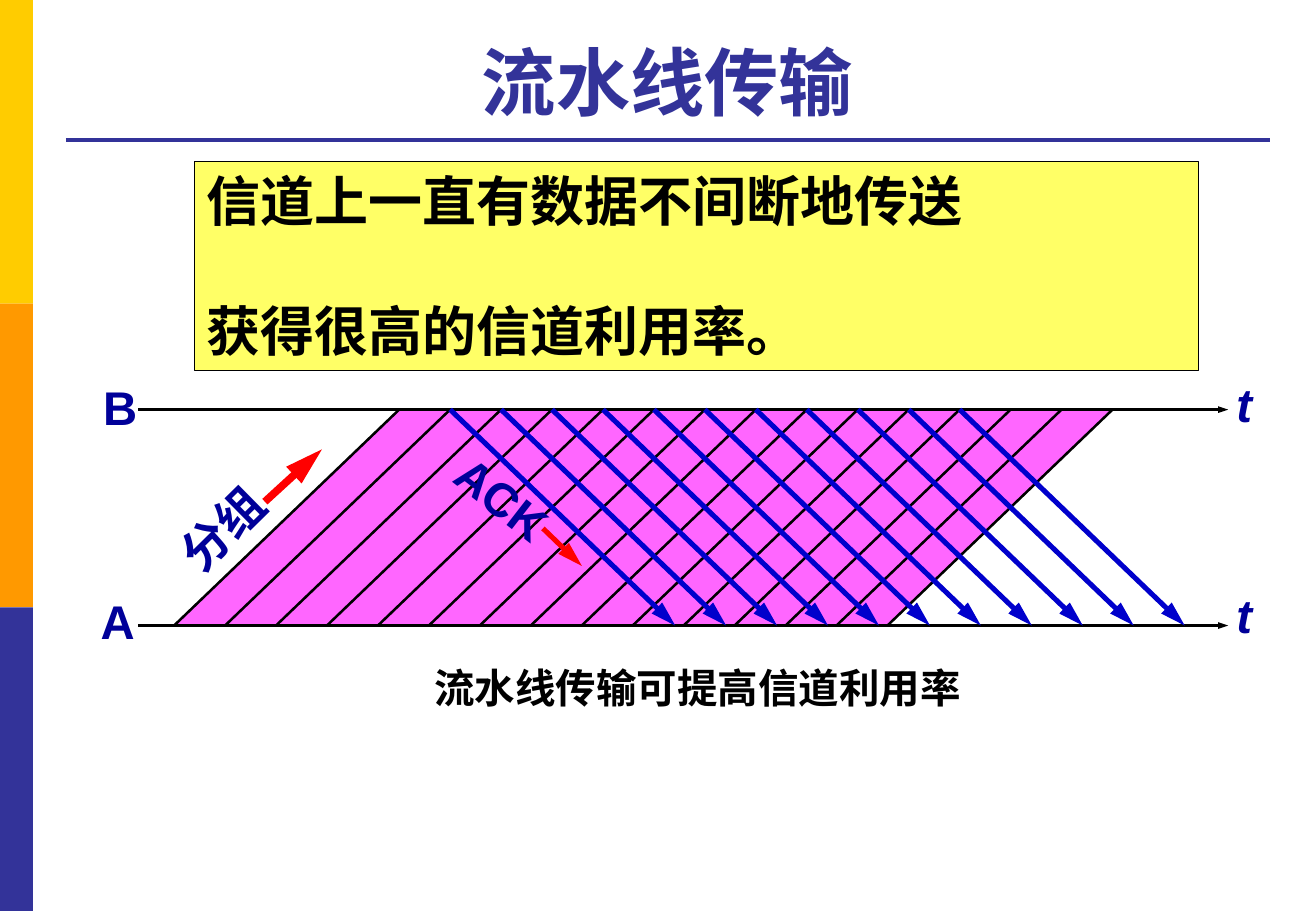
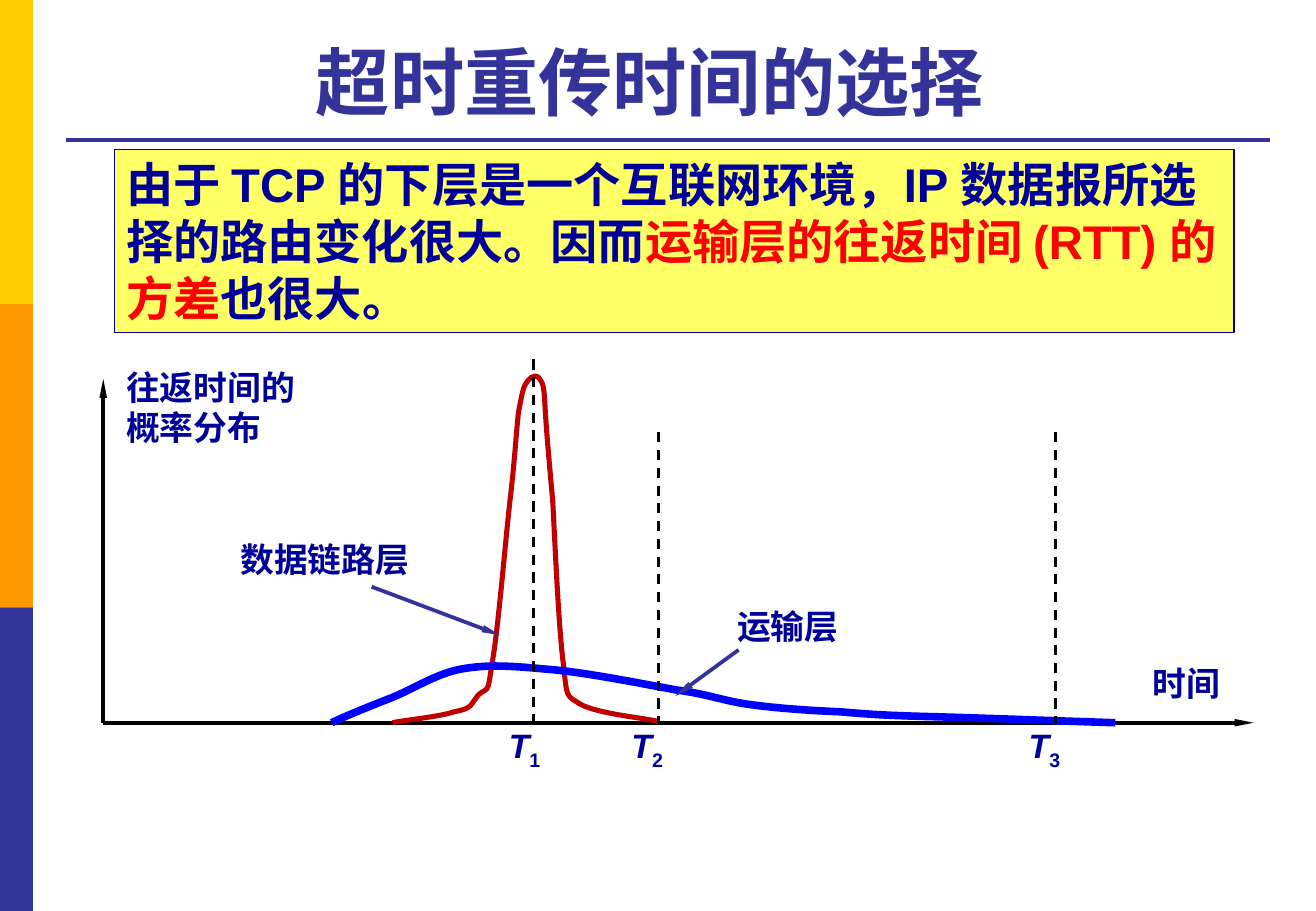
from dataclasses import dataclass

from lxml import etree
from pptx import Presentation
from pptx.dml.color import RGBColor
from pptx.enum import dml, shapes, text
from pptx.oxml.ns import qn
from pptx.util import Pt


@dataclass(frozen=True)
class Theme:
    font: str = "Arial"
    bands: tuple = ("FFCC00", "FF9900", "333399")
    accent: str = "333399"
    navy: str = "000099"
    black: str = "000000"
    red: str = "FF0000"
    note: str = "FFFF66"
    packet: str = "FF66FF"
    ack: str = "0000CC"
    link_curve: str = "C00000"
    transport_curve: str = "0000FF"
    title_size: int = 44
    lead_size: int = 32
    body_size: int = 28
    caption_size: int = 24
    label_size: int = 20


T = Theme()
W, H = 780, 540

# ---- Content: runs are (text, format overrides) ----
PIPELINE_TITLE = "流水线传输"
PIPELINE_NOTE = [[("信道上一直有数据不间断地传送", {})], [("获得很高的信道利用率。", {})]]
PIPELINE_CAPTION = "流水线传输可提高信道利用率"
# text, box, rotation, italic
PIPELINE_LABELS = [
    ("B", (54, 221, 35.3, 41), 0, False),
    ("A", (52.6, 347.8, 35.3, 41), 0, False),
    ("t", (725.8, 218.9, 23.8, 41), 0, True),
    ("t", (725.8, 344.2, 23.8, 41), 0, True),
    ("分组", (96.5, 292.3, 71.3, 41), 315.3, False),
    ("ACK", (260.6, 275, 75.6, 41), 37.8, False),
]
# start, end, width
DIRECTION_ARROWS = [((157, 297.4), (190.8, 266.4), 4.5), ((321.8, 313.2), (344.9, 335.5), 3)]

TIMEOUT_TITLE = "超时重传时间的选择"
TIMEOUT_NOTE = [[
    ("由于 TCP 的下层是一个互联网环境，IP 数据报所选择的路由变化很大。因而", {}),
    ("运输层的往返时间 (RTT) 的方差", {"color": T.red}),
    ("也很大。", {}),
]]
TIMEOUT_LABELS = [
    (["往返时间的", "概率分布"], (67.7, 213.8, 115.2, 55.4)),
    (["数据链路层"], (135.4, 316.1, 115.2, 31.7)),
    (["运输层"], (429.8, 355.7, 74.9, 31.7)),
    (["时间"], (676.1, 389.5, 54.7, 31.7)),
]
# subscript, x of the dashed line, its top, left of the label
TIME_MARKS = [("1", 316.1, 213.1, 294.5), ("2", 390.2, 256.3, 367.2), ("3", 625.7, 256.3, 602.6)]
CALLOUTS = [((220.3, 347.8), (296.6, 376.6)), ((437.8, 385.2), (400.3, 412.6))]
# Start point, then three points for each Bezier segment
LINK_CURVE = [
    (232.6, 428.4), (239, 427), (261.4, 424.8), (269.3, 421.9),
    (280.8, 419.8), (278.6, 417.6), (283.7, 411.8),
    (289.4, 406.8), (288.7, 413.3), (291.6, 393.8),
    (295.2, 374.4), (299.5, 321.1), (302.4, 295.9),
    (305.3, 271.4), (306, 255.6), (307.4, 244.1),
    (309.6, 232.6), (310.3, 228.2), (313.2, 225.4),
    (315.4, 222.5), (319, 221.8), (320.4, 225.4),
    (322.6, 228.2), (322.6, 233.3), (323.3, 244.8),
    (324, 256.3), (325.4, 272.2), (327.6, 296.6),
    (329, 321.8), (331.2, 374.4), (334.1, 394.6),
    (336.2, 414.7), (335.5, 411.8), (344.2, 417.6),
    (355.7, 423.4), (381.6, 425.5), (390.2, 427.7),
]
TRANSPORT_CURVE = [
    (196.6, 428.4), (202.3, 425.5), (218.2, 419), (231.1, 414),
    (244.1, 409), (257.8, 399.6), (272.9, 396.7),
    (288, 393.8), (302.4, 394.6), (324, 396.7),
    (345.6, 398.2), (380.9, 405.4), (401, 409),
    (421.2, 411.8), (428.4, 415.4), (444.2, 417.6),
    (460.1, 419.8), (479.5, 421.2), (497.5, 421.9),
    (514.8, 423.4), (524.9, 424.1), (551.5, 424.8),
    (578.9, 425.5), (637.9, 427.7), (661, 428.4),
]


# ---- Drawing helpers ----
def rgb(color):
    return RGBColor.from_string(color)


def paint(sp, fill=None, line=None, width=0.75):
    sp.shadow.inherit = False
    if fill:
        sp.fill.solid()
        sp.fill.fore_color.rgb = rgb(fill)
    else:
        sp.fill.background()
    if line:
        sp.line.color.rgb = rgb(line)
        sp.line.width = Pt(width)
    else:
        sp.line.fill.background()


def add_rect(s, box, fill, line=None):
    sp = s.shapes.add_shape(shapes.MSO_SHAPE.RECTANGLE, *map(Pt, box))
    paint(sp, fill, line)
    return sp


def add_line(s, start, end, color, width, arrow=None, dash=False):
    """Draw a line; arrow is the (width, length) of the head at its end."""
    c = s.shapes.add_connector(shapes.MSO_CONNECTOR.STRAIGHT, *map(Pt, start + end))
    c.line.color.rgb = rgb(color)
    c.line.width = Pt(width)
    if dash:
        c.line.dash_style = dml.MSO_LINE.DASH
    if arrow:
        etree.SubElement(c.line._get_or_add_ln(), qn("a:tailEnd"),
                         type="triangle", w=arrow[0], len=arrow[1])
    etree.SubElement(c._element.spPr, qn("a:effectLst"))
    return c


def add_outline(s, points, close):
    pts = [(Pt(x), Pt(y)) for x, y in points]
    fb = s.shapes.build_freeform(*pts[0])
    fb.add_line_segments(pts[1:], close=close)
    return fb.convert_to_shape()


def add_curve(s, points, color, width):
    sp = add_outline(s, points, close=False)
    geom = next(sp._element.iter(qn("a:path")))
    segments = geom.findall(qn("a:lnTo"))
    for i in range(0, len(segments), 3):
        bezier = etree.SubElement(geom, qn("a:cubicBezTo"))
        for ln in segments[i:i + 3]:
            bezier.append(ln[0])
            geom.remove(ln)
    paint(sp, line=color, width=width)


def write(sp, paragraphs, size, color, align="LEFT", gap=0, wrap=True):
    tf = sp.text_frame
    frame = {"word_wrap": wrap, "vertical_anchor": text.MSO_ANCHOR.TOP,
             "auto_size": text.MSO_AUTO_SIZE.SHAPE_TO_FIT_TEXT}
    for name, value in frame.items():
        setattr(tf, name, value)
    for i, runs in enumerate(paragraphs):
        p = tf.add_paragraph() if i else tf.paragraphs[0]
        p.alignment = getattr(text.PP_ALIGN, align)
        p.space_before = Pt(gap if i else 0)
        for content, changes in runs:
            r = p.add_run()
            r.text = content
            fmt = {"name": T.font, "size": Pt(size), "bold": True,
                   "italic": changes.get("italic", False)}
            for name, value in fmt.items():
                setattr(r.font, name, value)
            r.font.color.rgb = rgb(changes.get("color", color))
            if "baseline" in changes:
                r.font._element.set("baseline", changes["baseline"])


def add_label(s, paragraphs, box, size, color=T.navy, rotation=0, **options):
    sp = s.shapes.add_textbox(*map(Pt, box))
    write(sp, paragraphs, size, color, **options)
    sp.rotation = rotation


# ---- Shared frame ----
def add_frame(s, layout):
    """Put the side bands and title rule on the layout."""
    band_h = H / len(T.bands)
    parts = [add_rect(s, (0, i * band_h, 19.5, band_h), color)
             for i, color in enumerate(T.bands)]
    parts.append(add_line(s, (39, 82.8), (753, 82.8), T.accent, 2.25))
    for part in parts:
        layout.shapes._spTree.append(part._element)


def add_slide(prs, layout, title, right_inset=7.2):
    s = prs.slides.add_slide(layout)
    sp = s.shapes.title
    box = {"left": 39, "top": 15.1, "width": 713.5, "height": 62.6}
    for name, value in box.items():
        setattr(sp, name, Pt(value))
    write(sp, [[(title, {})]], T.title_size, T.accent, align="CENTER")
    tf = sp.text_frame
    tf.auto_size = text.MSO_AUTO_SIZE.NONE
    tf.vertical_anchor = text.MSO_ANCHOR.BOTTOM
    tf.margin_right = Pt(right_inset)
    return s


# ---- Slides ----
def draw_pipeline(s):
    top, bottom, first, run, step = 242.8, 370.8, 103.2, 133.4, 30.2
    packets, acks = 15, 11
    last = first + (packets - 1) * step
    # Packet stream and time axes
    stream = add_outline(s, [(first, bottom), (first + run, top),
                             (last + run, top), (last, bottom)], close=True)
    paint(stream, T.packet)
    for y in (bottom, top):
        add_line(s, (82, y), (728, y), T.black, 1.5, ("sm", "med"))
    for i in range(packets):
        x = first + i * step
        add_line(s, (x, bottom), (x + run, top), T.black, 1.5)
    # Acknowledgements start when a packet has fully arrived
    for i in range(1, acks + 1):
        x = first + run + i * step
        add_line(s, (x, top), (x + run, bottom), T.ack, 3, ("med", "lg"))
    for start, end, width in DIRECTION_ARROWS:
        add_line(s, start, end, T.red, width, ("med", "lg"))
    for content, box, rotation, italic in PIPELINE_LABELS:
        add_label(s, [[(content, {"italic": italic})]], box, T.body_size,
                  rotation=rotation, wrap=False)
    # Note and caption
    note = add_rect(s, (115.2, 95.8, 595.4, 123.8), T.note, T.black)
    write(note, PIPELINE_NOTE, T.lead_size, T.black, gap=38.5)
    add_label(s, [[(PIPELINE_CAPTION, {})]], (154.8, 389.5, 517, 36),
              T.caption_size, T.black, align="CENTER")


def draw_timeout(s):
    origin = (61.2, 428.4)
    # Axes and distributions
    for end in ((743, origin[1]), (origin[0], 224.6)):
        add_line(s, origin, end, T.black, 2.25, ("sm", "lg"))
    add_curve(s, LINK_CURVE, T.link_curve, 3)
    add_curve(s, TRANSPORT_CURVE, T.transport_curve, 4.5)
    # Time marks
    for sub, x, top, left in TIME_MARKS:
        add_line(s, (x, top), (x, origin[1]), T.black, 1.5, dash=True)
        add_label(s, [[("T", {"italic": True}), (sub, {"baseline": "-25000"})]],
                  (left, 426.2, 34.6, 31.7), T.label_size, wrap=False)
    # Labels and callouts
    for lines, box in TIMEOUT_LABELS:
        add_label(s, [[(line, {})] for line in lines], box, T.label_size, wrap=False)
    for start, end in CALLOUTS:
        add_line(s, start, end, T.accent, 2.25, ("sm", "lg"))
    note = add_rect(s, (67.7, 88.6, 663.8, 108.7), T.note, T.navy)
    write(note, TIMEOUT_NOTE, T.body_size, T.navy)


def main():
    prs = Presentation()
    prs.slide_width, prs.slide_height = Pt(W), Pt(H)
    layout = prs.slide_layouts.get_by_name("Title Only")
    pipeline = add_slide(prs, layout, PIPELINE_TITLE)
    add_frame(pipeline, layout)
    draw_pipeline(pipeline)
    draw_timeout(add_slide(prs, layout, TIMEOUT_TITLE, right_inset=28))
    prs.save("out.pptx")


if __name__ == "__main__":
    main()
